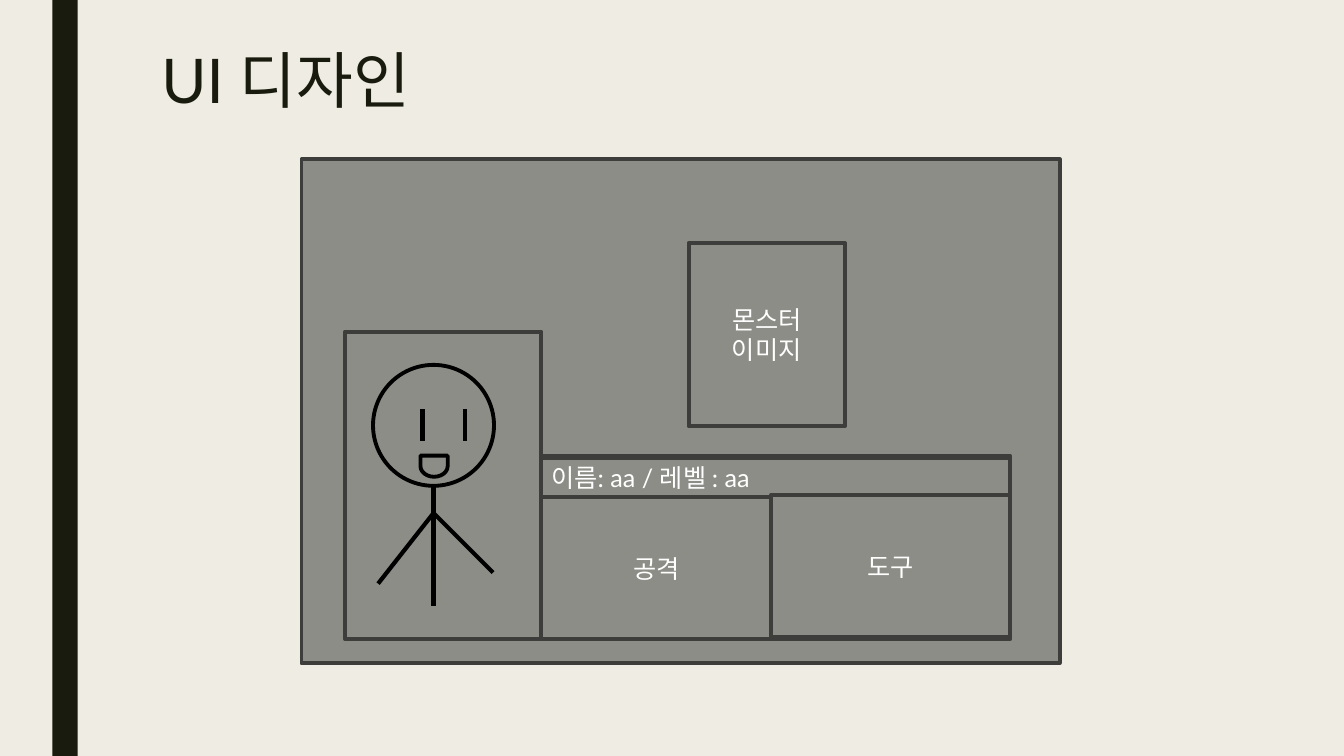
from pptx import Presentation
from pptx.dml.color import RGBColor
from pptx.enum.shapes import MSO_CONNECTOR, MSO_SHAPE as SHAPE
from pptx.enum.text import MSO_ANCHOR as ANCHOR, PP_ALIGN as ALIGN
from pptx.oxml.ns import qn
from pptx.util import Inches, Pt
from lxml import etree

CREAM = RGBColor(0xEF, 0xED, 0xE3)
DARK = RGBColor(0x19, 0x1B, 0x0E)
GRAY = RGBColor(0x8C, 0x8D, 0x86)
BORDER = RGBColor(0x3D, 0x3E, 0x3B)
BLACK = RGBColor(0, 0, 0)
WHITE = RGBColor(0xFF, 0xFF, 0xFF)
FONT = "Lato"

deck = Presentation()
deck.slide_width, deck.slide_height = Inches(13.33), Inches(7.5)
page = deck.slides.add_slide(deck.slide_layouts[5])
page.background.fill.solid()
page.background.fill.fore_color.rgb = CREAM


def add_box(left, top, width, height, text="", kind=SHAPE.RECTANGLE,
            line=BORDER, align=ALIGN.CENTER):
    box = page.shapes.add_shape(kind, Inches(left), Inches(top), Inches(width), Inches(height))
    box.shadow.inherit = False
    box.fill.solid()
    box.fill.fore_color.rgb = GRAY
    box.line.color.rgb = line
    box.line.width = Pt(2.75)
    if text:
        box.text_frame.word_wrap = True
        box.text_frame.vertical_anchor = ANCHOR.MIDDLE
        para = box.text_frame.paragraphs[0]
        para.text = text
        para.alignment = align
        para.font.name, para.font.size = FONT, Pt(18)
        para.font.color.rgb = WHITE
    return box


def add_stroke(x1, y1, x2, y2):
    stroke = page.shapes.add_connector(
        MSO_CONNECTOR.STRAIGHT, Inches(x1), Inches(y1), Inches(x2), Inches(y2))
    stroke.line.color.rgb = BLACK
    stroke.line.width = Pt(3)
    etree.SubElement(stroke._element.spPr, qn("a:effectLst"))


# Side bar
bar = add_box(0.52, 0, 0.25, 7.5)
bar.fill.fore_color.rgb = DARK
bar.line.fill.background()

# Title
title = page.shapes.title
title.left, title.top = Inches(1.5), Inches(0.45)
title.width, title.height = Inches(10.5), Inches(1.62)
title.text_frame.vertical_anchor = ANCHOR.TOP
para = title.text_frame.paragraphs[0]
para.text = "UI 디자인"
para.alignment = ALIGN.LEFT
para.line_spacing = 0.89
para.font.name, para.font.size = FONT, Pt(44)
para.font.color.rgb = DARK

# Game screen, command panel and character panel
PANEL_LEFT, PANEL_WIDTH = 5.37, 4.65
add_box(2.99, 1.58, 7.52, 5)
add_box(PANEL_LEFT, 4.52, PANEL_WIDTH, 1.82)
add_box(3.42, 3.29, 1.95, 3.05)

# Stick figure: head, body, arms, eyes, mouth
BODY_X, SHOULDER_Y = 4.3, 5.09
add_box(3.7, 3.62, 1.2, 1.2, kind=SHAPE.OVAL, line=BLACK)
add_stroke(BODY_X, 4.82, BODY_X, 6.01)
for hand_x, hand_y in ((4.89, 5.68), (3.75, 5.79)):
    add_stroke(BODY_X, SHOULDER_Y, hand_x, hand_y)
for eye_x in (4.19, 4.61):
    add_stroke(eye_x, 4.06, eye_x, 4.38)
mouth = add_box(4.2, 4.49, 0.21, 0.27, kind=SHAPE.FLOWCHART_DELAY, line=BLACK)
mouth.rotation = 90

# Status line, commands and monster
ATTACK_WIDTH = 2.28
add_box(PANEL_LEFT, 4.54, PANEL_WIDTH, 0.39, "이름: aa / 레벨 : aa", align=ALIGN.LEFT)
add_box(PANEL_LEFT, 4.93, ATTACK_WIDTH, 1.41, "공격")
add_box(PANEL_LEFT + ATTACK_WIDTH, 4.91, PANEL_WIDTH - ATTACK_WIDTH, 1.41, "도구")
add_box(6.83, 2.41, 1.55, 1.82, "몬스터 이미지")

deck.save("out.pptx")
